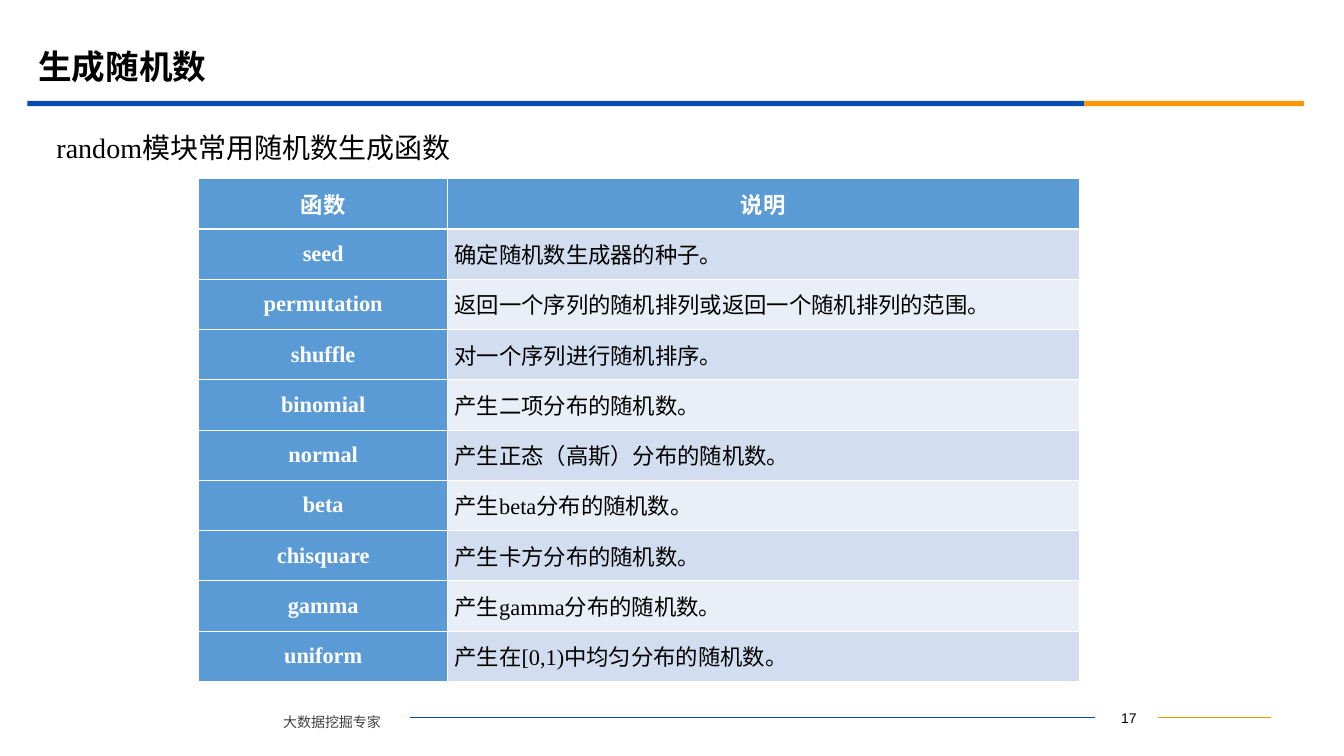
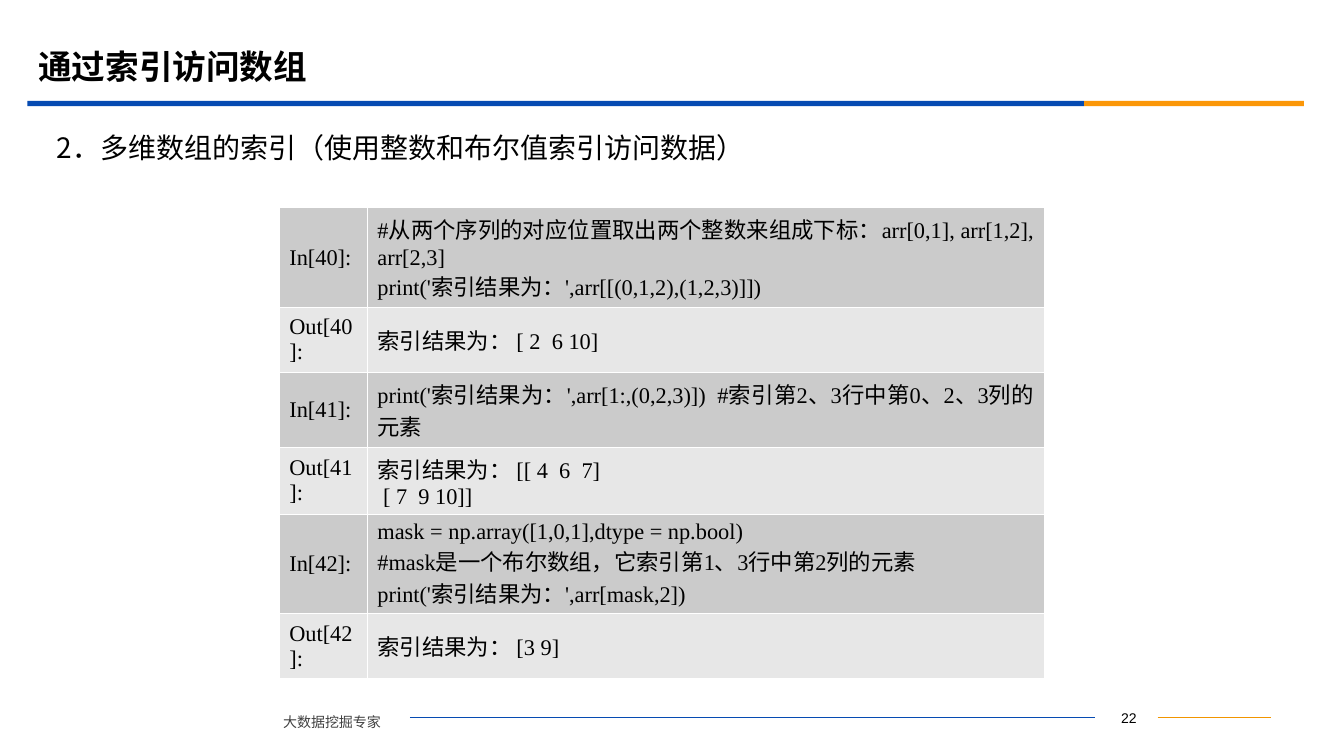
from lxml import etree
from pptx import Presentation
from pptx.dml.color import RGBColor
from pptx.enum.shapes import MSO_CONNECTOR, MSO_SHAPE
from pptx.enum.text import MSO_ANCHOR, PP_ALIGN
from pptx.oxml import parse_xml
from pptx.oxml.ns import nsdecls, qn
from pptx.util import Pt

LEFT, MID, JUST = PP_ALIGN.LEFT, PP_ALIGN.CENTER, PP_ALIGN.JUSTIFY
TOP, CENTRE = MSO_ANCHOR.TOP, MSO_ANCHOR.MIDDLE
RECT, LINE = MSO_SHAPE.RECTANGLE, MSO_CONNECTOR.STRAIGHT
SERIF, SANS, HEAD, PLAIN = "Times New Roman", "Noto Sans CJK SC", "Montserrat", "Arial"
BLACK, WHITE, GREY = "000000", "FFFFFF", "404040"
BLUE, GOLD, AMBER, STEEL = "064BB2", "FB9708", "F19500", "5B9BD5"


def tint(code):
    return RGBColor.from_string(code)


def write(frame, text, size, face, code=BLACK, bold=False, align=LEFT, space=1.0):
    frame.word_wrap = True
    frame.text = text
    for para in frame.paragraphs:
        para.alignment = align
        para.line_spacing = space
        font = para.font
        font.size, font.name, font.bold = Pt(size), face, bold
        font.color.rgb = tint(code)


funcs = [
    ("函数", "说明"),
    ("seed", "确定随机数生成器的种子。"),
    ("permutation", "返回一个序列的随机排列或返回一个随机排列的范围。"),
    ("shuffle", "对一个序列进行随机排序。"),
    ("binomial", "产生二项分布的随机数。"),
    ("normal", "产生正态（高斯）分布的随机数。"),
    ("beta", "产生beta分布的随机数。"),
    ("chisquare", "产生卡方分布的随机数。"),
    ("gamma", "产生gamma分布的随机数。"),
    ("uniform", "产生在[0,1)中均匀分布的随机数。"),
]
code = [
    ("In[40]:", "#从两个序列的对应位置取出两个整数来组成下标：arr[0,1], arr[1,2], arr[2,3]\n"
                "print('索引结果为：',arr[[(0,1,2),(1,2,3)]])"),
    ("Out[40]:", "索引结果为： [ 2  6 10]"),
    ("In[41]:", "print('索引结果为：',arr[1:,(0,2,3)])  #索引第2、3行中第0、2、3列的元素"),
    ("Out[41]:", "索引结果为： [[ 4  6  7]\n [ 7  9 10]]"),
    ("In[42]:", "mask = np.array([1,0,1],dtype = np.bool)\n"
                "#mask是一个布尔数组，它索引第1、3行中第2列的元素\n"
                "print('索引结果为：',arr[mask,2])"),
    ("Out[42]:", "索引结果为： [3 9]"),
]
pages = [
    dict(num="17", title="生成随机数", lead="random模块常用随机数生成函数", face=SERIF,
         rows=funcs, at=(142, 127.6), cols=(178, 451), highs=[35.9] * 10,
         pad=4.9, fills=("EAEFF7", "D2DEEF"), heads=True),
    dict(num="22", title="通过索引访问数组",
         lead="2．多维数组的索引（使用整数和布尔值索引访问数据）", face=SANS,
         rows=code, at=(199.6, 148.4), cols=(63, 483.4),
         highs=[71, 46.5, 53.6, 47.9, 71, 46.5],
         pad=7.2, fills=("CBCBCB", "E7E7E7"), heads=False),
]

deck = Presentation()
deck.slide_width, deck.slide_height = Pt(960.48), Pt(540)

for page in pages:
    slide = deck.slides.add_slide(deck.slide_layouts[6])
    shapes = slide.shapes

    for left, wide, hue in [(19.5, 755.3, BLUE), (774.8, 157, GOLD)]:
        band = shapes.add_shape(RECT, Pt(left), Pt(72), Pt(wide), Pt(3.8))
        band.shadow.inherit = False
        band.fill.solid()
        band.fill.fore_color.rgb = tint(hue)
        band.line.fill.background()

    for start, end, hue, thick in [(293, 782.6, BLUE, 0.5), (827.3, 908, AMBER, 0.75)]:
        rule = shapes.add_connector(LINE, Pt(start), Pt(512.6), Pt(end), Pt(512.6))
        rule.line.color.rgb = tint(hue)
        rule.line.width = Pt(thick)
        etree.SubElement(rule._element.spPr, qn("a:effectLst"))

    for box, anchor, style in [
        ((20.3, 28, 864, 42), CENTRE, (page["title"], 24, HEAD, BLACK, True, LEFT, 0.9)),
        ((33.3, 89.6, 875, 34), CENTRE, (page["lead"], 20, page["face"], BLACK, False, LEFT, 0.9)),
        ((195.3, 500.2, 98, 25), TOP, ("大数据挖掘专家", 10, SANS, GREY, False, LEFT, 1.5)),
        ((784.5, 503.3, 44.6, 18), TOP, (page["num"], 10, PLAIN, BLACK, False, MID)),
    ]:
        frame = shapes.add_textbox(*map(Pt, box)).text_frame
        frame.vertical_anchor = anchor
        write(frame, *style)

    rows, cols, highs = page["rows"], page["cols"], page["highs"]
    size = (sum(cols), sum(highs))
    grid = shapes.add_table(len(rows), 2, *map(Pt, page["at"] + size)).table
    grid.first_row = grid.horz_banding = False
    for col, wide in zip(grid.columns, cols):
        col.width = Pt(wide)
    for r, texts in enumerate(rows):
        grid.rows[r].height = Pt(highs[r])
        for c, text in enumerate(texts):
            cell = grid.cell(r, c)
            head = page["heads"] and 0 in (r, c)
            cell.vertical_anchor = CENTRE
            cell.margin_left = cell.margin_right = Pt(page["pad"])
            for side in "LRTB":
                heavy = page["heads"] and (r, side) in [(0, "B"), (1, "T")]
                edge = parse_xml(
                    f'<a:ln{side} {nsdecls("a")} w="{Pt(1.47 if heavy else 0.45)}">'
                    f'<a:solidFill><a:srgbClr val="{WHITE}"/></a:solidFill></a:ln{side}>')
                cell._tc.get_or_add_tcPr().append(edge)
            cell.fill.solid()
            cell.fill.fore_color.rgb = tint(STEEL if head else page["fills"][r % 2])
            write(cell.text_frame, text, 16, SERIF, WHITE if head else BLACK,
                  head, MID if head else JUST)

deck.save("out.pptx")
